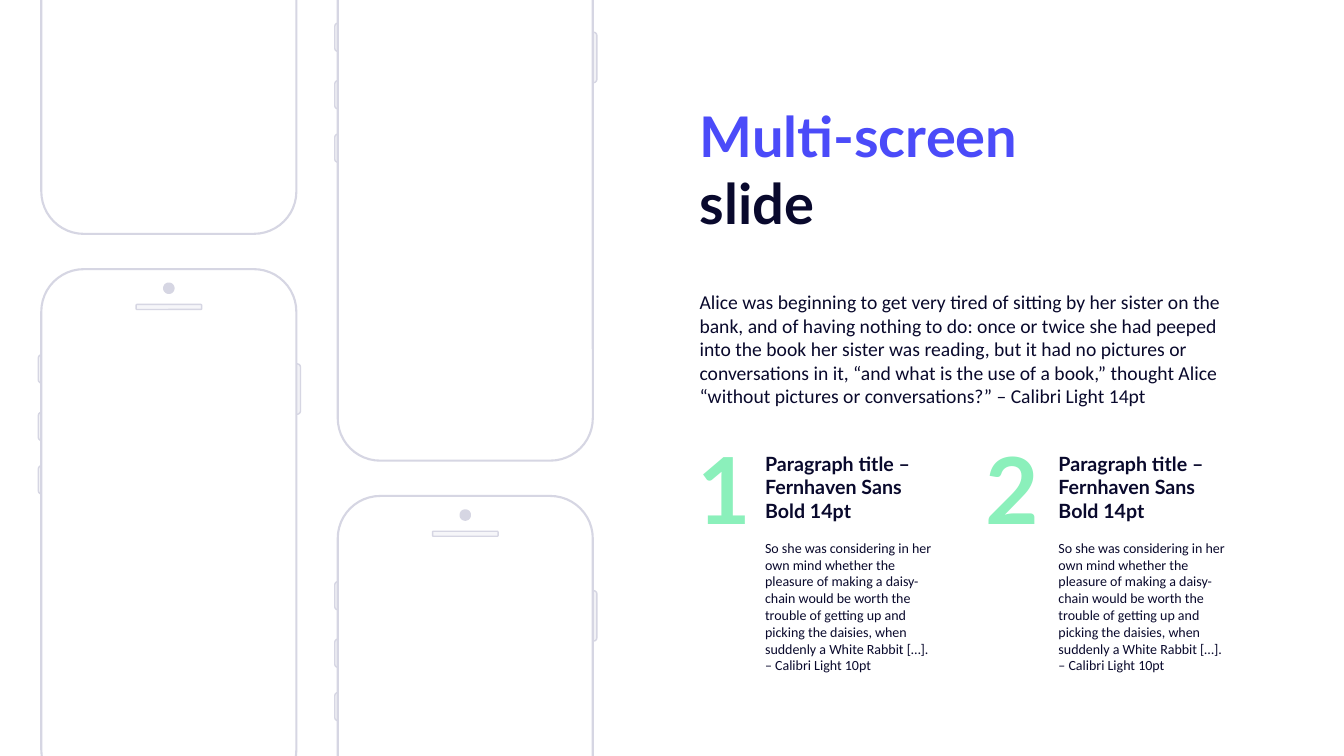
from lxml import etree
from pptx import Presentation
from pptx.dml.color import RGBColor
from pptx.enum.shapes import MSO_SHAPE
from pptx.enum.text import MSO_ANCHOR, MSO_AUTO_SIZE, PP_ALIGN
from pptx.oxml.ns import qn
from pptx.util import Inches, Pt

ROUNDED = MSO_SHAPE.ROUNDED_RECTANGLE
OVAL = MSO_SHAPE.OVAL
TOP = MSO_ANCHOR.TOP
GROW = MSO_AUTO_SIZE.SHAPE_TO_FIT_TEXT
LEFT, RIGHT = PP_ALIGN.LEFT, PP_ALIGN.RIGHT

NAVY, BLUE, MINT = "09092C", "4B4BF9", "8BF0BB"
OUTLINE, WHITE = "D6D6E3", "FFFFFF"


def add_part(phone, kind, box, fill, opacity, line_width):
    part = phone.shapes.add_shape(kind, *[Inches(v) for v in box])
    part.shadow.inherit = False
    part.fill.solid()
    part.fill.fore_color.rgb = RGBColor.from_string(fill)
    if opacity < 100:
        color = part.fill._xPr.find(qn("a:solidFill"))[0]
        etree.SubElement(color, qn("a:alpha"), val=str(opacity * 1000))
    part.line.color.rgb = RGBColor.from_string(OUTLINE)
    part.line.width = Pt(line_width)


def write_text(holder, box, lines, size, font, bold=False, align=LEFT, wrap=True):
    holder.left, holder.top, holder.width, holder.height = [Inches(v) for v in box]
    frame = holder.text_frame
    frame.word_wrap = wrap
    frame.auto_size = GROW
    frame.vertical_anchor = TOP
    paragraph = frame.paragraphs[0]
    paragraph.alignment = align
    for i, (words, color) in enumerate(lines):
        if i:
            paragraph.add_line_break()
        run = paragraph.add_run()
        run.text = words
        run.font.name = font
        run.font.size = Pt(size)
        run.font.bold = bold
        run.font.color.rgb = RGBColor.from_string(color)


prs = Presentation()
prs.slide_width = Inches(13.33)
prs.slide_height = Inches(7.5)
slide = prs.slides.add_slide(prs.slide_layouts[5])
slide.background.fill.solid()
slide.background.fill.fore_color.rgb = RGBColor.from_string(WHITE)

phones = [
    (3.35, -0.62, True, False),
    (3.35, 4.92, True, True),
    (0.41, -2.87, False, False),
    (0.41, 2.67, True, True),
]
side_buttons = [
    (2.38, 0.94, 0.5),
    (-0.03, 0.85, 0.28),
    (-0.03, 1.42, 0.28),
    (-0.03, 1.95, 0.28),
]
for x, y, has_buttons, has_camera in phones:
    phone = slide.shapes.add_group_shape()
    if has_buttons:
        for dx, dy, height in side_buttons:
            add_part(phone, ROUNDED, (x + dx, y + dy, 0.19, height), OUTLINE, 30, 1)
    add_part(phone, ROUNDED, (x, y, 2.53, 5.19), WHITE, 100, 1.5)
    if has_camera:
        add_part(phone, ROUNDED, (x + 0.94, y + 0.35, 0.65, 0.05), OUTLINE, 20, 1)
        add_part(phone, OVAL, (x + 1.235, y + 0.16, 0.06, 0.06), NAVY, 20, 4)

write_text(slide.shapes.title, (6.84, 0.96, 5.54, 1.45),
           [("Multi-screen", BLUE), ("slide", "09092D")], 40, "Lato", bold=True)

intro = (
    "Alice was beginning to get very tired of sitting by her sister on the bank, "
    "and of having nothing to do: once or twice she had peeped into the book her "
    "sister was reading, but it had no pictures or conversations in it, “and what "
    "is the use of a book,” thought Alice “without pictures or conversations?” "
    "– Calibri Light 14pt"
)
heading = ["Paragraph title –", "Fernhaven Sans Bold 14pt"]
story = [
    "So she was considering in her own mind whether the pleasure of making a "
    "daisy-chain would be worth the trouble of getting up and picking the daisies, "
    "when suddenly a White Rabbit […].",
    "– Calibri Light 10pt",
]

texts = [((6.84, 2.83, 5.54, 1.28), [intro], 14, "Calibri", NAVY, False, LEFT, True)]
for number, number_x, number_width, column_x in [("1", 6.82, 0.6, 7.49), ("2", 9.65, 0.75, 10.4)]:
    texts += [
        ((column_x, 4.43, 1.97, 0.81), heading, 14, "Lato", NAVY, True, LEFT, True),
        ((column_x, 5.3, 1.97, 1.45), story, 10, "Calibri", NAVY, False, LEFT, True),
        ((number_x, 4.24, number_width, 1.21), [number], 66, "Lato", MINT, True, RIGHT, False),
    ]
for box, lines, size, font, color, bold, align, wrap in texts:
    holder = slide.shapes.add_textbox(0, 0, 0, 0)
    write_text(holder, box, [(words, color) for words in lines], size, font, bold, align, wrap)

prs.save("out.pptx")
